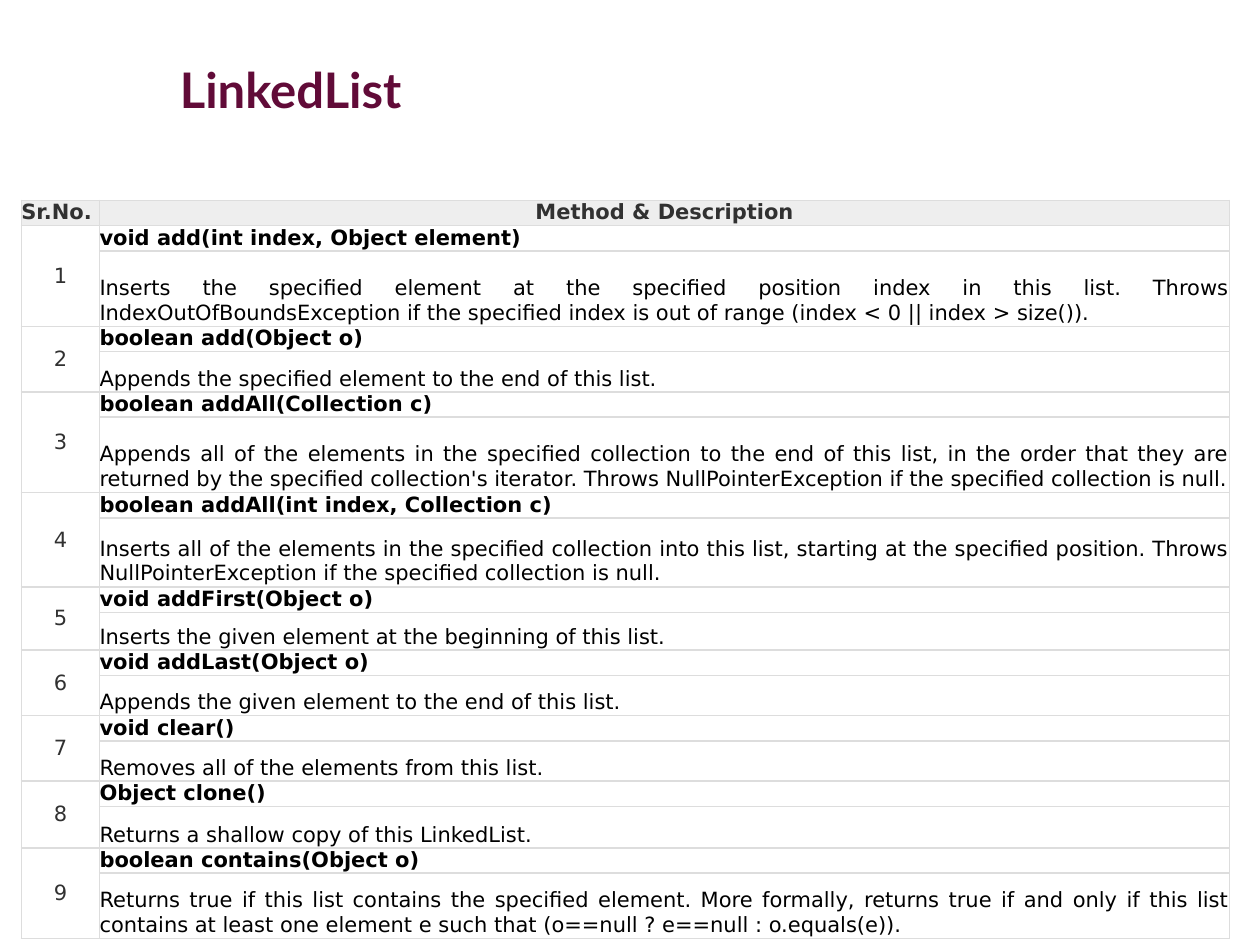
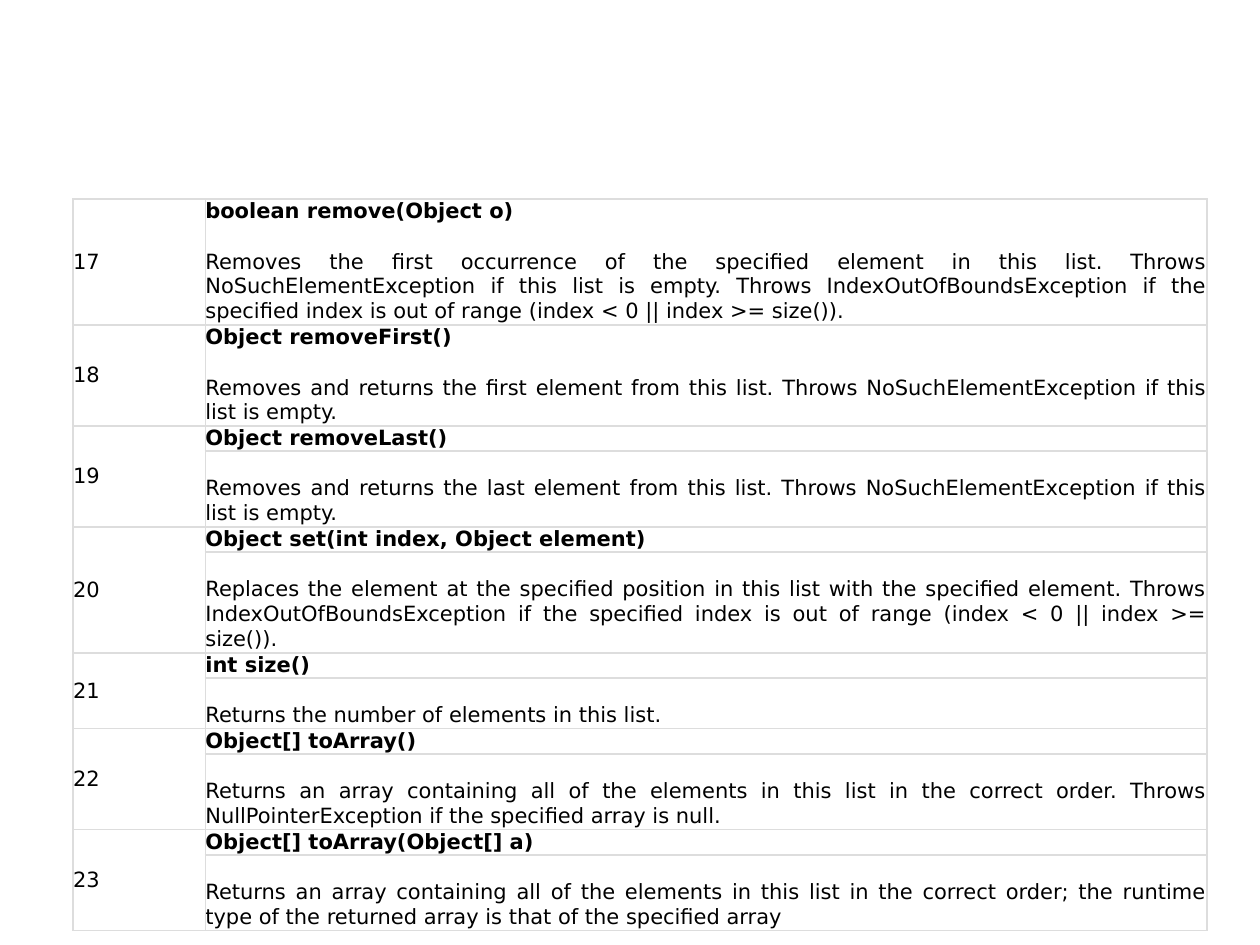
from dataclasses import dataclass

from lxml.etree import SubElement
from pptx import Presentation
from pptx.dml.color import RGBColor
from pptx.enum.text import MSO_ANCHOR as Anchor, PP_ALIGN as Align
from pptx.oxml.ns import qn
from pptx.util import Inches, Pt


@dataclass(frozen=True)
class Theme:
    title_font: str = "Lato"
    body_font: str = "DejaVu Sans"
    title_size: int = 28
    body_size: int = 12
    spacer_size: int = 1
    title_color: str = "610B38"
    muted: str = "313131"
    ink: str = "000000"
    header_fill: str = "EEEEEE"
    border: str = "DDDDDD"
    line_height: float = 0.2
    plain_table: str = "{2D5ABB26-0587-4C30-8999-92F81FD0307C}"


@dataclass(frozen=True)
class Method:
    number: int
    signature: str
    description: str
    lines: int = 1
    gap: float = 0.2


THEME = Theme()
ROW_EDGES = ("LRT", "LR", "LRB")

ADDING_METHODS = [
    Method(1, "void add(int index, Object element)",
           "Inserts the specified element at the specified position index in this list. "
           "Throws IndexOutOfBoundsException if the specified index is out of range "
           "(index < 0 || index > size()).", 2),
    Method(2, "boolean add(Object o)",
           "Appends the specified element to the end of this list.", gap=0.12),
    Method(3, "boolean addAll(Collection c)",
           "Appends all of the elements in the specified collection to the end of this list, "
           "in the order that they are returned by the specified collection's iterator. "
           "Throws NullPointerException if the specified collection is null.", 2),
    Method(4, "boolean addAll(int index, Collection c)",
           "Inserts all of the elements in the specified collection into this list, "
           "starting at the specified position. "
           "Throws NullPointerException if the specified collection is null.", 2, 0.15),
    Method(5, "void addFirst(Object o)",
           "Inserts the given element at the beginning of this list.", gap=0.1),
    Method(6, "void addLast(Object o)",
           "Appends the given element to the end of this list.", gap=0.12),
    Method(7, "void clear()",
           "Removes all of the elements from this list.", gap=0.12),
    Method(8, "Object clone()",
           "Returns a shallow copy of this LinkedList.", gap=0.13),
    Method(9, "boolean contains(Object o)",
           "Returns true if this list contains the specified element. More formally, "
           "returns true if and only if this list contains at least one element e such that "
           "(o==null ? e==null : o.equals(e)).", 2, 0.12),
]

REMOVE_METHOD = [
    Method(17, "boolean remove(Object o)",
           "Removes the first occurrence of the specified element in this list. "
           "Throws NoSuchElementException if this list is empty. "
           "Throws IndexOutOfBoundsException if the specified index is out of range "
           "(index < 0 || index >= size()).", 3),
]

CLOSING_METHODS = [
    Method(18, "Object removeFirst()",
           "Removes and returns the first element from this list. "
           "Throws NoSuchElementException if this list is empty.", 2),
    Method(19, "Object removeLast()",
           "Removes and returns the last element from this list. "
           "Throws NoSuchElementException if this list is empty.", 2),
    Method(20, "Object set(int index, Object element)",
           "Replaces the element at the specified position in this list with the specified "
           "element. Throws IndexOutOfBoundsException if the specified index is out of range "
           "(index < 0 || index >= size()).", 3),
    Method(21, "int size()", "Returns the number of elements in this list."),
    Method(22, "Object[] toArray()",
           "Returns an array containing all of the elements in this list in the correct order. "
           "Throws NullPointerException if the specified array is null.", 2),
    Method(23, "Object[] toArray(Object[] a)",
           "Returns an array containing all of the elements in this list in the correct order; "
           "the runtime type of the returned array is that of the specified array", 2),
]


def style_run(run, font, size, color, bold=False):
    run.font.name = font
    run.font.size = Pt(size)
    run.font.bold = bold
    run.font.color.rgb = RGBColor.from_string(color)


def write_cell(cell, text, align, color=THEME.ink, bold=False):
    paragraph = cell.text_frame.paragraphs[0]
    paragraph.text = text
    paragraph.alignment = align
    style_run(paragraph.runs[0], THEME.body_font, THEME.body_size, color, bold)


def prepare_cell(cell, edges, fill=None):
    cell.margin_left = cell.margin_right = cell.margin_top = cell.margin_bottom = 0
    properties = cell._tc.get_or_add_tcPr()
    for edge in edges:
        line = SubElement(properties, qn(f"a:ln{edge}"), w=str(Pt(1)))
        solid = SubElement(line, qn("a:solidFill"))
        SubElement(solid, qn("a:srgbClr"), val=THEME.border)
    if fill:
        cell.fill.solid()
        cell.fill.fore_color.rgb = RGBColor.from_string(fill)
    else:
        cell.fill.background()
    paragraph = cell.text_frame.paragraphs[0]
    SubElement(paragraph._p, qn("a:endParaRPr"), sz=str(THEME.spacer_size * 100))


def add_header(table, labels):
    for column, (label, align) in enumerate(labels):
        cell = table.cell(0, column)
        prepare_cell(cell, "LRTB", THEME.header_fill)
        write_cell(cell, label, align, THEME.muted, True)


def add_method(table, top, method, number_align, number_color):
    for offset, edges in enumerate(ROW_EDGES):
        prepare_cell(table.cell(top + offset, 0), "LRTB" if offset == 0 else edges)
        prepare_cell(table.cell(top + offset, 1), edges)
    number_cell = table.cell(top, 0)
    number_cell.merge(table.cell(top + 2, 0))
    number_cell.vertical_anchor = Anchor.MIDDLE
    write_cell(number_cell, str(method.number), number_align, number_color)
    write_cell(table.cell(top, 1), method.signature, Align.JUSTIFY, bold=True)
    write_cell(table.cell(top + 2, 1), method.description, Align.JUSTIFY)


def add_method_table(slide, left, top, widths, methods, number_align, number_color, labels=()):
    heights = [THEME.line_height] if labels else []
    first_row = len(heights)
    for method in methods:
        heights += [THEME.line_height, method.gap, method.lines * THEME.line_height]
    frame = slide.shapes.add_table(len(heights), len(widths), Inches(left), Inches(top),
                                   Inches(sum(widths)), Inches(sum(heights)))
    table = frame.table
    table.first_row = table.horz_banding = False
    table._tbl.tblPr.find(qn("a:tableStyleId")).text = THEME.plain_table
    for column, width in zip(table.columns, widths):
        column.width = Inches(width)
    for row, height in zip(table.rows, heights):
        row.height = Inches(height)
    add_header(table, labels)
    for index, method in enumerate(methods):
        add_method(table, first_row + index * len(ROW_EDGES), method,
                   number_align, number_color)


def add_title(slide, text):
    box = slide.shapes.add_textbox(Inches(1.33), Inches(0.42), Inches(2.17), Inches(0.57))
    box.text_frame.word_wrap = False
    box.text_frame.text = text
    style_run(box.text_frame.paragraphs[0].runs[0], THEME.title_font, THEME.title_size,
              THEME.title_color, True)


def main():
    presentation = Presentation()
    presentation.slide_width = Inches(10)
    presentation.slide_height = Inches(7.5)
    blank = presentation.slide_layouts[6]

    adding_slide = presentation.slides.add_slide(blank)
    add_method_table(adding_slide, 0.17, 1.59, (0.62, 8.97), ADDING_METHODS,
                     Align.CENTER, THEME.muted,
                     (("Sr.No.", Align.LEFT), ("Method & Description", Align.CENTER)))
    add_title(adding_slide, "LinkedList")

    closing_slide = presentation.slides.add_slide(blank)
    for top, methods in ((2.58, CLOSING_METHODS), (1.58, REMOVE_METHOD)):
        add_method_table(closing_slide, 0.58, top, (1.05, 7.95), methods,
                         Align.JUSTIFY, THEME.ink)

    presentation.save("out.pptx")


if __name__ == "__main__":
    main()
